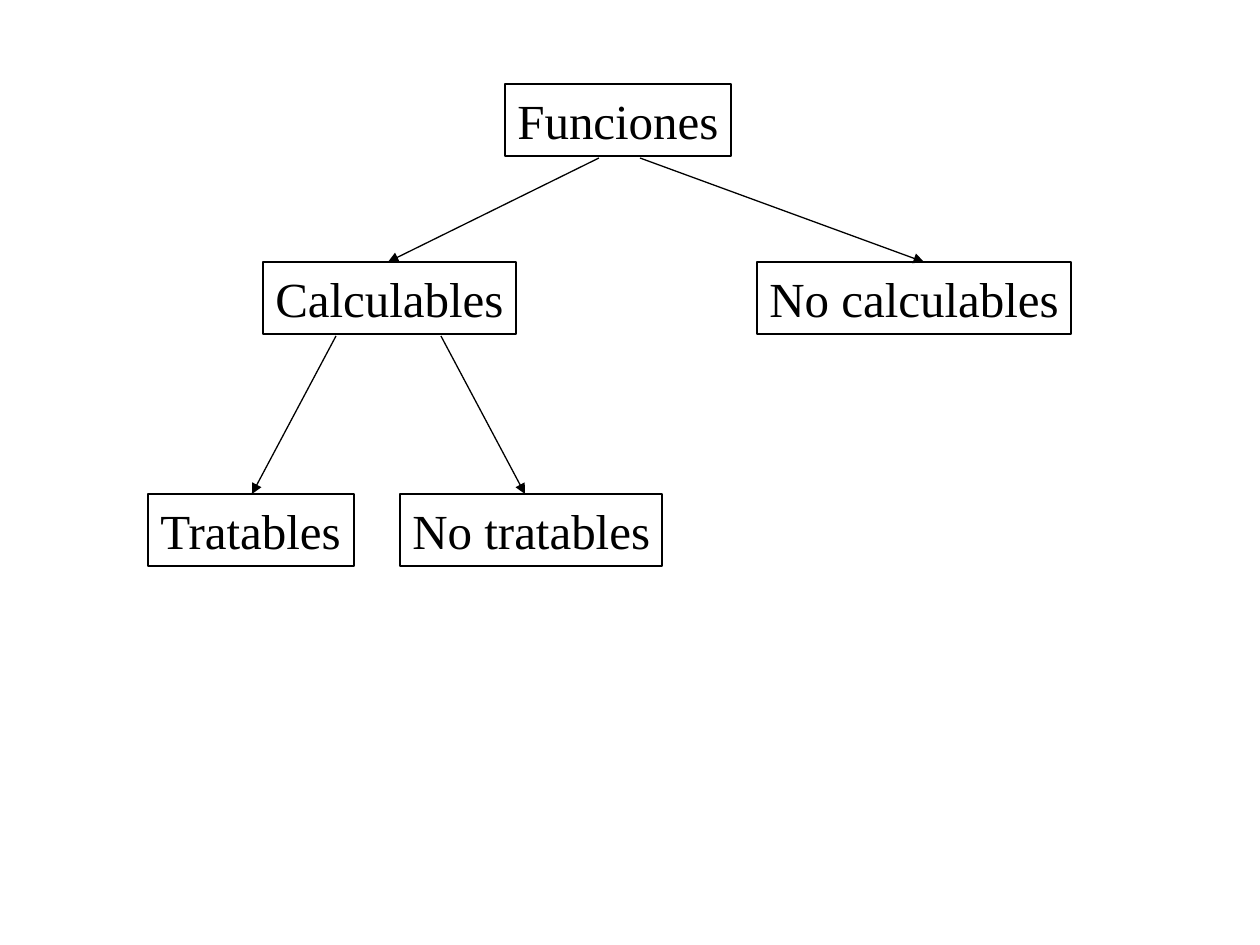
from pptx import Presentation
from pptx.dml.color import RGBColor
from pptx.enum.shapes import MSO_CONNECTOR, MSO_SHAPE
from pptx.enum.text import MSO_ANCHOR, MSO_AUTO_SIZE, PP_ALIGN
from pptx.oxml.ns import qn
from pptx.util import Pt
from lxml.etree import SubElement

PX = 914400 // 126
BLACK = RGBColor(0, 0, 0)
FONT = "Times New Roman"
LINE_WIDTH = Pt(0.74)
NODE_HEIGHT = 72
ARROW_GAP = 2

# Label: left, top and width inside the tree
NODES = {
    "Calculables": (116, 178, 253),
    "No calculables": (610, 178, 314),
    "No tratables": (253, 410, 262),
    "Tratables": (1, 410, 206),
    "Funciones": (358, 0, 226),
}
# Parent, child, start x and tip x inside the tree
BRANCHES = [
    ("Calculables", "Tratables", 189, 105),
    ("Calculables", "No tratables", 294, 378),
    ("Funciones", "Calculables", 452, 241),
    ("Funciones", "No calculables", 493, 777),
]


def add_node(slide, label, left, top, width):
    """Add one outlined category with its label on a single line."""
    node = slide.shapes.add_shape(
        MSO_SHAPE.RECTANGLE, left * PX, top * PX, width * PX, NODE_HEIGHT * PX)
    node.shadow.inherit = False
    node.fill.background()
    node.line.color.rgb = BLACK
    node.line.width = LINE_WIDTH
    frame = node.text_frame
    frame.word_wrap = True
    frame.auto_size = MSO_AUTO_SIZE.NONE
    frame.vertical_anchor = MSO_ANCHOR.TOP
    frame.margin_right = 0
    paragraph = frame.paragraphs[0]
    paragraph.alignment = PP_ALIGN.LEFT
    run = paragraph.add_run()
    run.text = label
    run.font.name = FONT
    run.font.size = Pt(28)
    run.font.color.rgb = BLACK


def add_branch(slide, start_x, start_y, tip_x, tip_y):
    """Add one arrow from a category to its subcategory."""
    branch = slide.shapes.add_connector(
        MSO_CONNECTOR.STRAIGHT, start_x * PX, start_y * PX, tip_x * PX, tip_y * PX)
    branch.line.color.rgb = BLACK
    branch.line.width = LINE_WIDTH
    SubElement(branch.line._get_or_add_ln(), qn("a:tailEnd"), type="triangle")
    SubElement(branch._element.spPr, qn("a:effectLst"))


def add_function_tree(slide, left, top):
    """Place the classification of functions from its top left corner."""
    for label, (node_left, node_top, width) in NODES.items():
        add_node(slide, label, left + node_left, top + node_top, width)
    for parent, child, start_x, tip_x in BRANCHES:
        start_y = NODES[parent][1] + NODE_HEIGHT + ARROW_GAP
        add_branch(slide, left + start_x, top + start_y,
                   left + tip_x, top + NODES[child][1])


presentation = Presentation()
presentation.slide_width = 1260 * PX
presentation.slide_height = 945 * PX
functions_slide = presentation.slides.add_slide(presentation.slide_layouts[6])
add_function_tree(functions_slide, 147, 84)
presentation.save("out.pptx")
